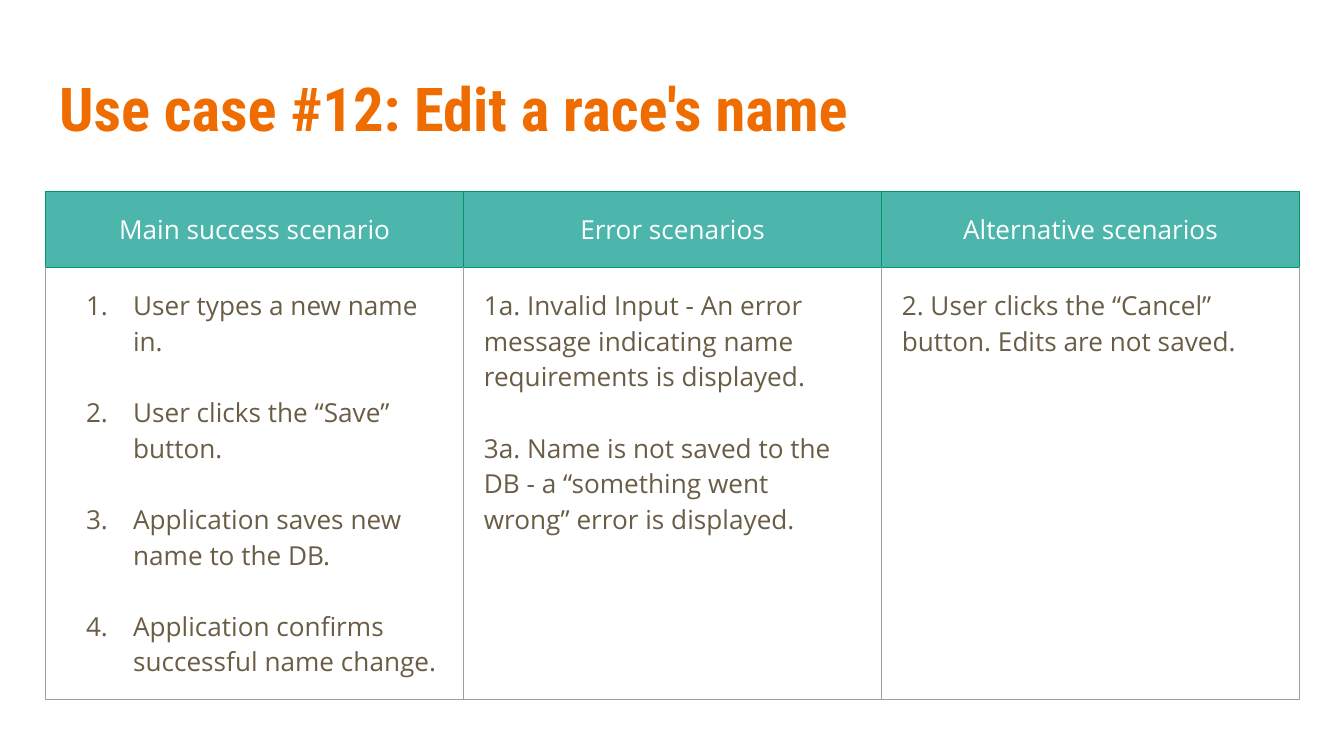
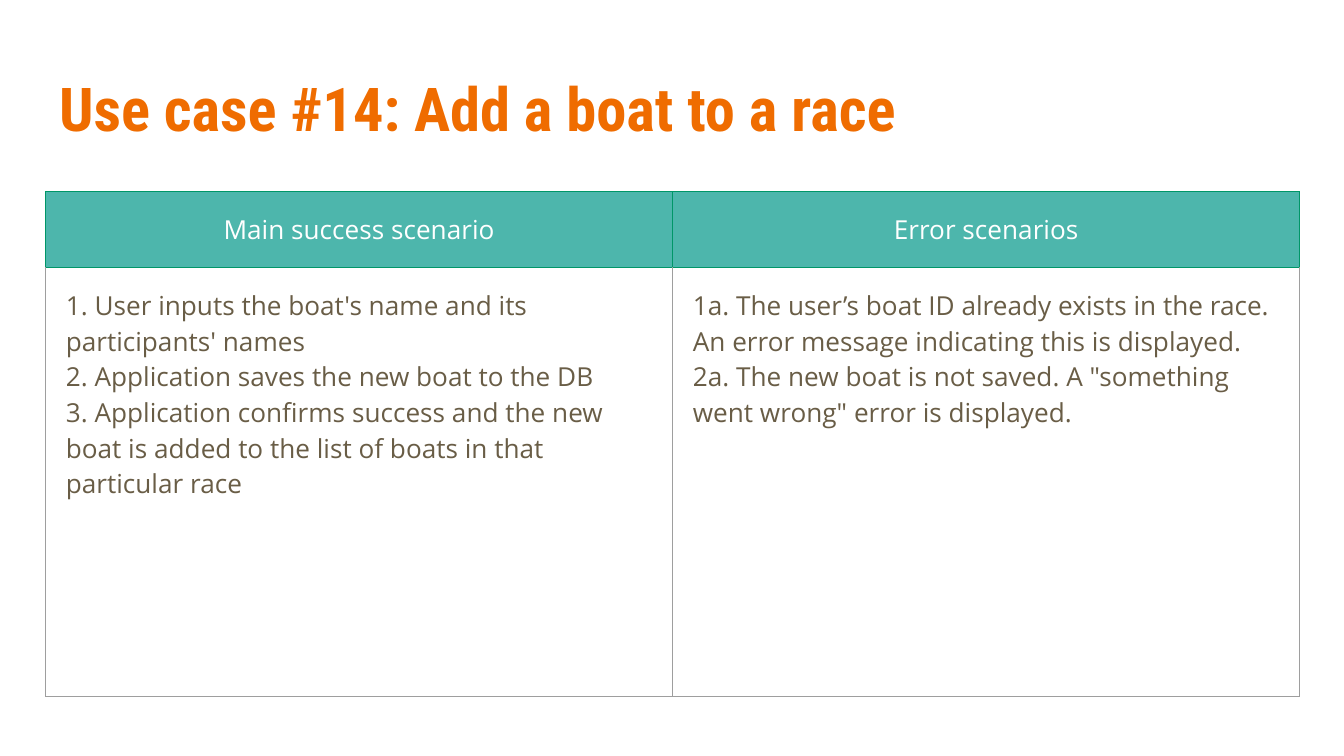
from dataclasses import dataclass

from lxml.etree import SubElement
from pptx import Presentation
from pptx.dml.color import RGBColor
from pptx.enum.text import MSO_ANCHOR, PP_ALIGN
from pptx.oxml.ns import qn
from pptx.util import Inches, Pt

ORANGE, TEAL, GREEN = "EF6C00", "4DB6AC", "009668"
BROWN, GREY, WHITE = "695D46", "9E9E9E", "FFFFFF"
HEAD_FONT, BODY_FONT = "Roboto Condensed", "Open Sans"
BLANK_LINE = 19.07


def color(hex_code):
    """Turn a hex string into a colour."""
    return RGBColor.from_string(hex_code)


@dataclass
class Scenario:
    """One table column: its heading, its steps and how they are set."""

    heading: str
    steps: list
    numbered: bool = False
    gap: float = 0


class Deck:
    """Style and current slide, on a grid of 100 columns by 100 rows."""

    def __init__(self):
        """Start a 16:9 presentation."""
        self.prs = Presentation()
        self.prs.slide_width = Inches(10)
        self.prs.slide_height = Inches(10) * 9 // 16
        self.s = None

    def cols(self, n):
        """Length of n grid columns."""
        return int(self.prs.slide_width * n / 100)

    def rows(self, n):
        """Length of n grid rows."""
        return int(self.prs.slide_height * n / 100)

    def run(self, p, text, font, size, hex_code, bold=False):
        """Add one formatted run to a paragraph."""
        r = p.add_run()
        r.text = text
        r.font.name, r.font.size, r.font.bold = font, Pt(size), bold
        r.font.color.rgb = color(hex_code)

    def slide(self, title):
        """Add a slide and set its title."""
        self.s = self.prs.slides.add_slide(self.prs.slide_layouts[5])
        sp = self.s.shapes.title
        sp.left, sp.top = self.cols(3.4), self.rows(7.1)
        sp.width, sp.height = self.cols(93.2), self.rows(13.7)
        tf = sp.text_frame
        tf.word_wrap, tf.vertical_anchor = True, MSO_ANCHOR.BOTTOM
        tf.margin_left = tf.margin_right = Inches(0.1)
        tf.margin_top = tf.margin_bottom = Inches(0.1)
        p = tf.paragraphs[0]
        p.alignment = PP_ALIGN.LEFT
        self.run(p, title, HEAD_FONT, 32.4, ORANGE, True)

    def number(self, p):
        """Number a paragraph automatically."""
        pPr = p._p.get_or_add_pPr()
        pPr.set("marL", str(Inches(0.5)))
        pPr.set("indent", str(Inches(-0.35)))
        SubElement(SubElement(pPr, qn("a:buClr")), qn("a:srgbClr"), val=BROWN)
        SubElement(pPr, qn("a:buFont"), typeface=BODY_FONT)
        SubElement(pPr, qn("a:buAutoNum"), type="arabicPeriod")

    def borders(self, cell, sides, top):
        """Draw the four borders of a cell."""
        tcPr = cell._tc.get_or_add_tcPr()
        for tag, hex_code in zip(("lnL", "lnR", "lnT", "lnB"), (sides, sides, top, sides)):
            ln = SubElement(tcPr, qn(f"a:{tag}"), w=str(Pt(0.75)))
            SubElement(SubElement(ln, qn("a:solidFill")), qn("a:srgbClr"), val=hex_code)

    def cell(self, cell, texts, text_color, line, fill=None, align=PP_ALIGN.LEFT,
             numbered=False, gap=0):
        """Format a cell and fill it with one paragraph per text."""
        cell.margin_left = cell.margin_right = Inches(0.15)
        cell.margin_top = cell.margin_bottom = Inches(0.15)
        self.borders(cell, line, GREEN)
        if fill:
            cell.fill.solid()
            cell.fill.fore_color.rgb = color(fill)
        else:
            cell.fill.background()
        tf = cell.text_frame
        for i, text in enumerate(texts):
            p = tf.add_paragraph() if i else tf.paragraphs[0]
            p.alignment = align
            if numbered:
                self.number(p)
            if i and gap:
                p.space_before = Pt(gap)
            self.run(p, text, BODY_FONT, 14, text_color)

    def table(self, scenarios):
        """Add the scenario table with equal columns."""
        width, head, body = self.cols(93.3), self.rows(10.05), self.rows(56.7)
        table = self.s.shapes.add_table(2, len(scenarios), self.cols(3.4), self.rows(25.35),
                                        width, head + body).table
        table.first_row = table.horz_banding = False
        table.rows[0].height, table.rows[1].height = head, body
        for i, scenario in enumerate(scenarios):
            table.columns[i].width = width // len(scenarios)
            self.cell(table.cell(0, i), [scenario.heading], WHITE, GREEN, TEAL, PP_ALIGN.CENTER)
            self.cell(table.cell(1, i), scenario.steps, BROWN, GREY,
                      numbered=scenario.numbered, gap=scenario.gap)


def main():
    """Build both use case slides."""
    deck = Deck()
    deck.slide("Use case #12: Edit a race's name")
    deck.table([
        Scenario("Main success scenario", [
            "User types a new name in.",
            "User clicks the “Save” button.",
            "Application saves new name to the DB.",
            "Application confirms successful name change.",
        ], numbered=True, gap=BLANK_LINE),
        Scenario("Error scenarios", [
            "1a. Invalid Input - An error message indicating name requirements is displayed.",
            "3a. Name is not saved to the DB - a “something went wrong” error is displayed.",
        ], gap=BLANK_LINE),
        Scenario("Alternative scenarios", [
            "2. User clicks the “Cancel” button. Edits are not saved.",
        ]),
    ])
    deck.slide("Use case #14: Add a boat to a race")
    deck.table([
        Scenario("Main success scenario", [
            "1. User inputs the boat's name and its participants' names",
            "2. Application saves the new boat to the DB",
            "3. Application confirms success and the new boat is added to the list of boats "
            "in that particular race",
        ]),
        Scenario("Error scenarios", [
            "1a. The user’s boat ID already exists in the race. "
            "An error message indicating this is displayed.",
            '2a. The new boat is not saved. A "something went wrong" error is displayed.',
        ]),
    ])
    deck.prs.save("out.pptx")


if __name__ == "__main__":
    main()
